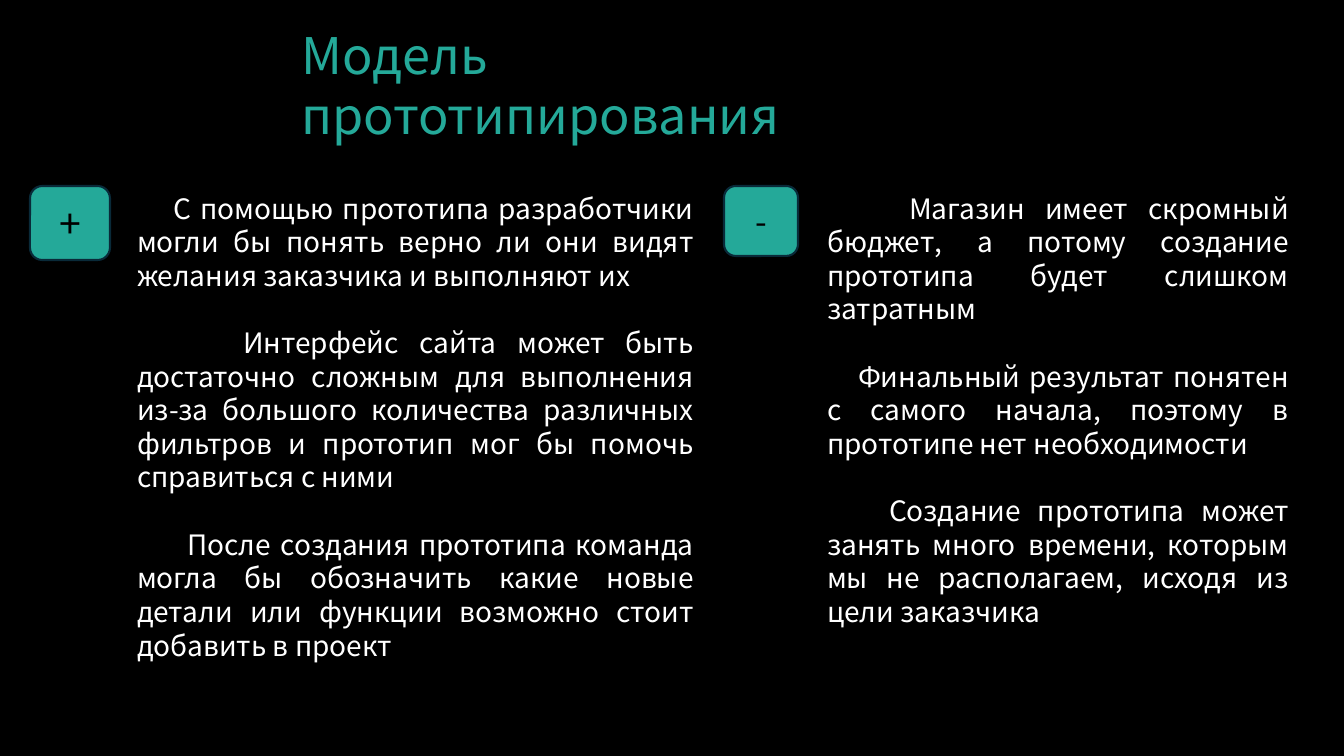
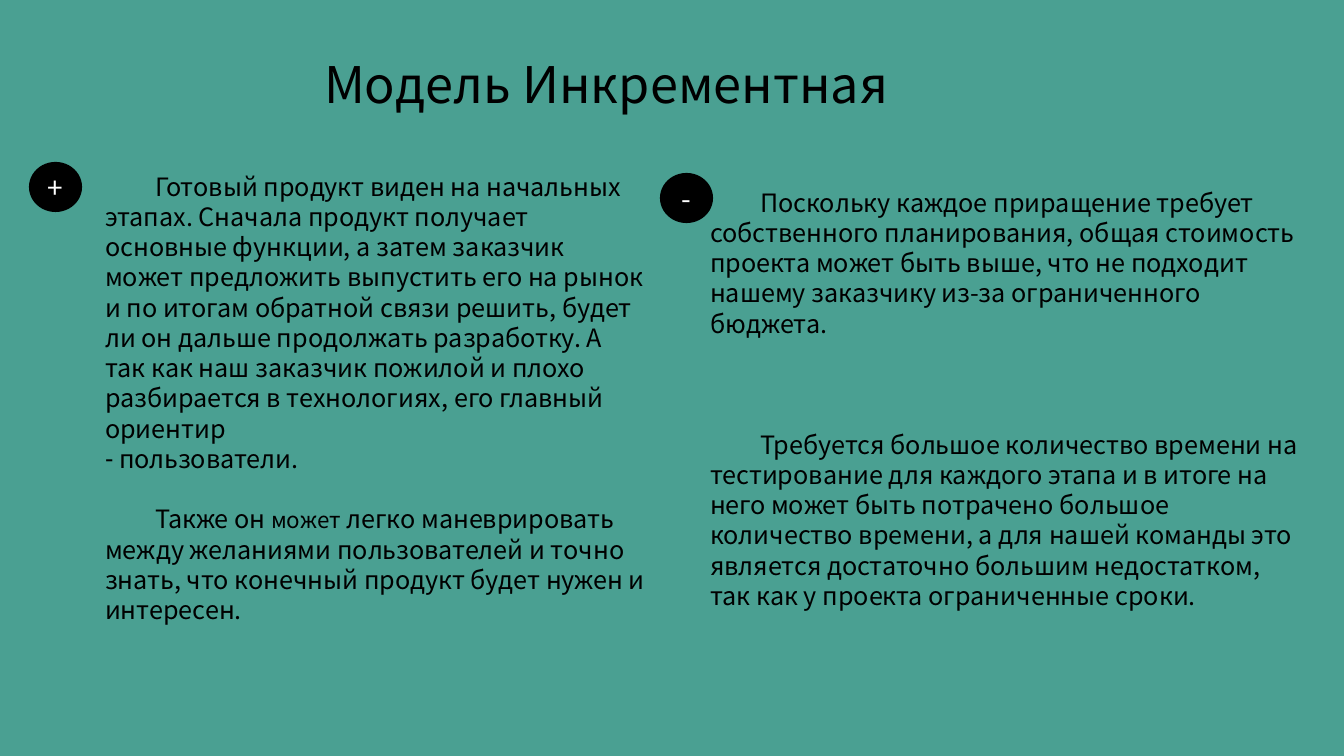
"""Two slides weighing the pros and cons of development models."""
from dataclasses import dataclass

from lxml import etree
from pptx import Presentation
from pptx import util as u
from pptx.dml.color import RGBColor
from pptx.enum import shapes, text
from pptx.oxml.ns import qn

EMU_PER_PX = 914400 / 100.8


@dataclass(frozen=True)
class Theme:
    font: str = "Noto Sans CJK KR"
    black: str = "000000"
    white: str = "FFFFFF"
    accent: str = "24A999"
    edge: str = "092A39"
    sea: str = "4AA092"
    title_size: int = 36
    small_size: int = 16
    leading: float = 1.2


T = Theme()


@dataclass(frozen=True)
class Box:
    x: int
    y: int
    w: int
    h: int


@dataclass(frozen=True)
class Para:
    text: str
    indent: int = 0
    gap: int = 0
    bullet: str = ""


@dataclass(frozen=True)
class Badge:
    sign: str
    box: Box
    size: int


@dataclass(frozen=True)
class Column:
    badge: Badge
    box: Box
    paras: tuple[Para, ...]


@dataclass(frozen=True)
class Page:
    title: str
    title_box: Box
    back: str
    title_color: str
    ink: str
    size: int
    align: text.PP_ALIGN
    badge_shape: shapes.MSO_SHAPE
    badge_fill: str
    badge_line: str
    badge_ink: str
    columns: tuple[Column, ...]


PAGES = (
    Page(
        "Модель прототипирования", Box(291, 19, 588, 132),
        T.black, T.accent, T.white, 20, text.PP_ALIGN.JUSTIFY,
        shapes.MSO_SHAPE.ROUNDED_RECTANGLE, T.accent, T.edge, T.black,
        (
            Column(Badge("+", Box(30, 186, 80, 74), 28), Box(127, 186, 577, 516), (
                Para("С помощью прототипа разработчики могли бы понять верно ли они "
                     "видят желания заказчика и выполняют их", 36),
                Para("Интерфейс сайта может быть достаточно сложным для выполнения "
                     "из-за большого количества различных фильтров и прототип мог бы "
                     "помочь справиться с ними", 106, 1),
                Para("После создания прототипа команда могла бы обозначить какие новые "
                     "детали или функции возможно стоит добавить в проект", 50, 1),
            )),
            Column(Badge("-", Box(724, 186, 74, 70), 24), Box(817, 186, 482, 553), (
                Para("Магазин имеет скромный бюджет, а потому создание прототипа будет "
                     "слишком затратным", 82),
                Para("Финальный результат понятен с самого начала, поэтому в прототипе "
                     "нет необходимости", 31, 1),
                Para("Создание прототипа может занять много времени, которым мы не "
                     "располагаем, исходя из цели заказчика", 62, 1),
            )),
        ),
    ),
    Page(
        "Модель Инкрементная", Box(314, 48, 653, 72),
        T.sea, T.black, T.black, 18, text.PP_ALIGN.LEFT,
        shapes.MSO_SHAPE.OVAL, T.black, T.black, T.white,
        (
            Column(Badge("+", Box(30, 163, 51, 48), 20), Box(95, 166, 563, 563), (
                Para("Готовый продукт виден на начальных этапах. Сначала продукт "
                     "получает основные функции, а затем заказчик может предложить "
                     "выпустить его на рынок и по итогам обратной связи решить, будет "
                     "ли он дальше продолжать разработку. А так как наш заказчик "
                     "пожилой и плохо разбирается в технологиях, его главный ориентир",
                     50),
                Para("пользователи.", bullet="-"),
                Para("Также он |может| легко маневрировать между желаниями "
                     "пользователей и точно знать, что конечный продукт будет нужен "
                     "и интересен.", 50, 1),
            )),
            Column(Badge("-", Box(661, 174, 51, 48), 20), Box(700, 182, 616, 502), (
                Para("Поскольку каждое приращение требует собственного планирования, "
                     "общая стоимость проекта может быть выше, что не подходит нашему "
                     "заказчику из-за ограниченного бюджета.", 50),
                Para("Требуется большое количество времени на тестирование для каждого "
                     "этапа и в итоге на него может быть потрачено большое количество "
                     "времени, а для нашей команды это является достаточно большим "
                     "недостатком, так как у проекта ограниченные сроки.", 50, 3),
            )),
        ),
    ),
)


def px(n: float) -> int:
    return round(n * EMU_PER_PX)


def place(sp, box: Box) -> None:
    sp.left, sp.top, sp.width, sp.height = map(px, (box.x, box.y, box.w, box.h))


def style_run(r, size: float, color: str) -> None:
    r.font.name = T.font
    r.font.size = u.Pt(size)
    r.font.color.rgb = RGBColor.from_string(color)


def prepare_frame(sp) -> text.MSO_ANCHOR:
    tf = sp.text_frame
    tf.word_wrap = True
    tf.auto_size = text.MSO_AUTO_SIZE.NONE
    tf.vertical_anchor = text.MSO_ANCHOR.TOP
    return tf


def set_indent(p, para: Para) -> None:
    pPr = p._p.get_or_add_pPr()
    hang = 14 if para.bullet else 0
    pPr.set("marL", str(px(hang)))
    pPr.set("indent", str(px(para.indent - hang)))
    if para.bullet:
        etree.SubElement(pPr, qn("a:buChar")).set("char", para.bullet)
    else:
        etree.SubElement(pPr, qn("a:buNone"))


def add_title(s, page: Page) -> None:
    sp = s.shapes.title
    place(sp, page.title_box)
    tf = prepare_frame(sp)
    tf.text = page.title
    p = tf.paragraphs[0]
    p.alignment = text.PP_ALIGN.LEFT
    p.line_spacing = u.Pt(T.title_size * T.leading)
    style_run(p.runs[0], T.title_size, page.title_color)


def add_badge(s, page: Page, badge: Badge) -> None:
    b = badge.box
    sp = s.shapes.add_shape(page.badge_shape, px(b.x), px(b.y), px(b.w), px(b.h))
    sp.shadow.inherit = False
    sp.fill.solid()
    sp.fill.fore_color.rgb = RGBColor.from_string(page.badge_fill)
    sp.line.color.rgb = RGBColor.from_string(page.badge_line)
    sp.line.width = u.Pt(1.5)
    tf = sp.text_frame
    tf.text = badge.sign
    tf.vertical_anchor = text.MSO_ANCHOR.MIDDLE
    p = tf.paragraphs[0]
    p.alignment = text.PP_ALIGN.CENTER
    style_run(p.runs[0], badge.size, page.badge_ink)


def fill_body(sp, page: Page, column: Column) -> None:
    place(sp, column.box)
    tf = prepare_frame(sp)
    leading = page.size * T.leading
    for i, para in enumerate(column.paras):
        p = tf.add_paragraph() if i else tf.paragraphs[0]
        p.alignment = page.align
        p.line_spacing = u.Pt(leading)
        p.space_before = u.Pt(para.gap * leading)
        set_indent(p, para)
        for j, part in enumerate(para.text.split("|")):
            r = p.add_run()
            r.text = part
            style_run(r, T.small_size if j % 2 else page.size, page.ink)


def add_page(prs, page: Page) -> None:
    s = prs.slides.add_slide(prs.slide_layouts[3])
    s.background.fill.solid()
    s.background.fill.fore_color.rgb = RGBColor.from_string(page.back)
    add_title(s, page)
    for idx, column in enumerate(page.columns, 1):
        add_badge(s, page, column.badge)
        fill_body(s.placeholders[idx], page, column)


def main() -> None:
    prs = Presentation()
    prs.slide_width, prs.slide_height = px(1344), px(756)
    for page in PAGES:
        add_page(prs, page)
    prs.save("out.pptx")


if __name__ == "__main__":
    main()
